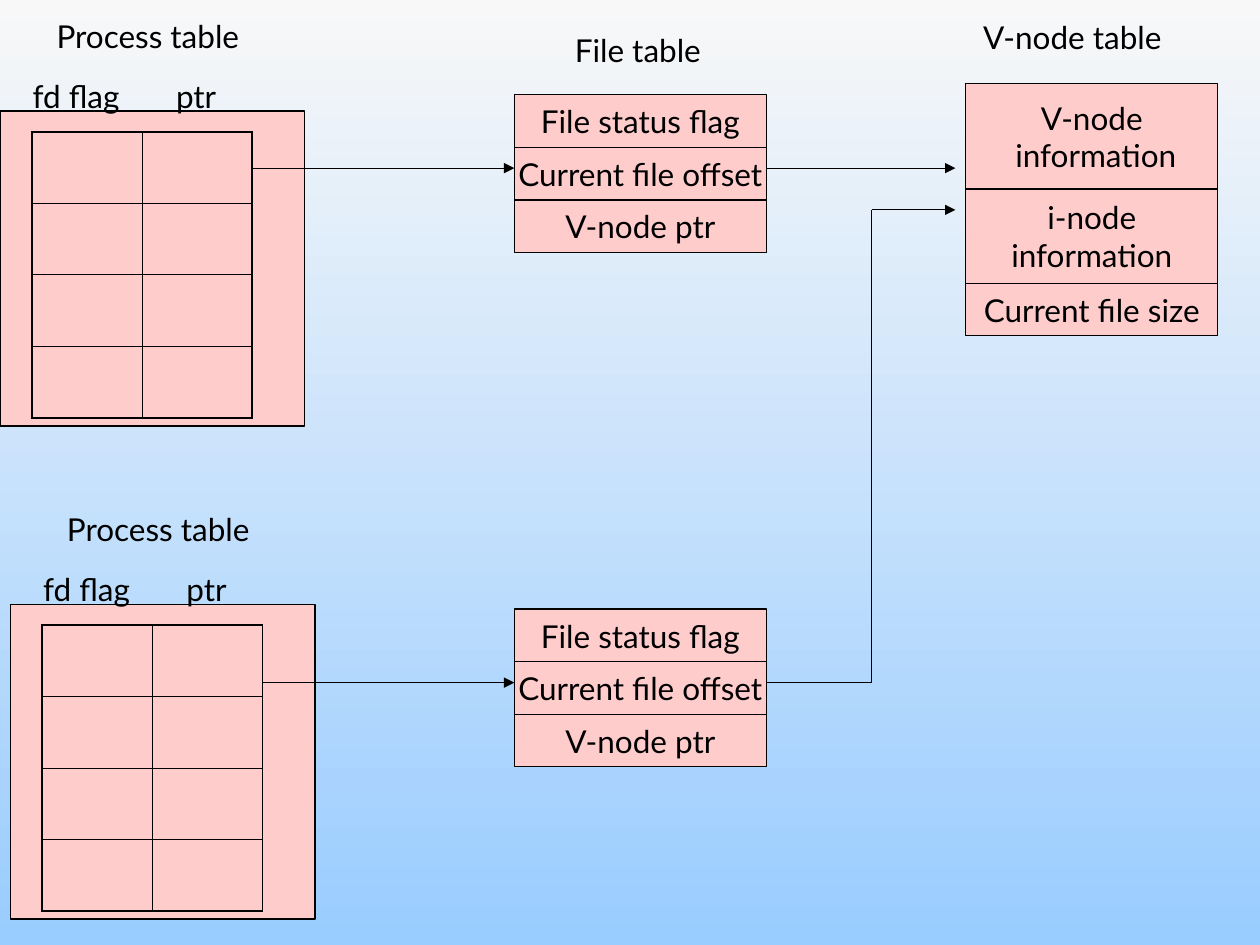
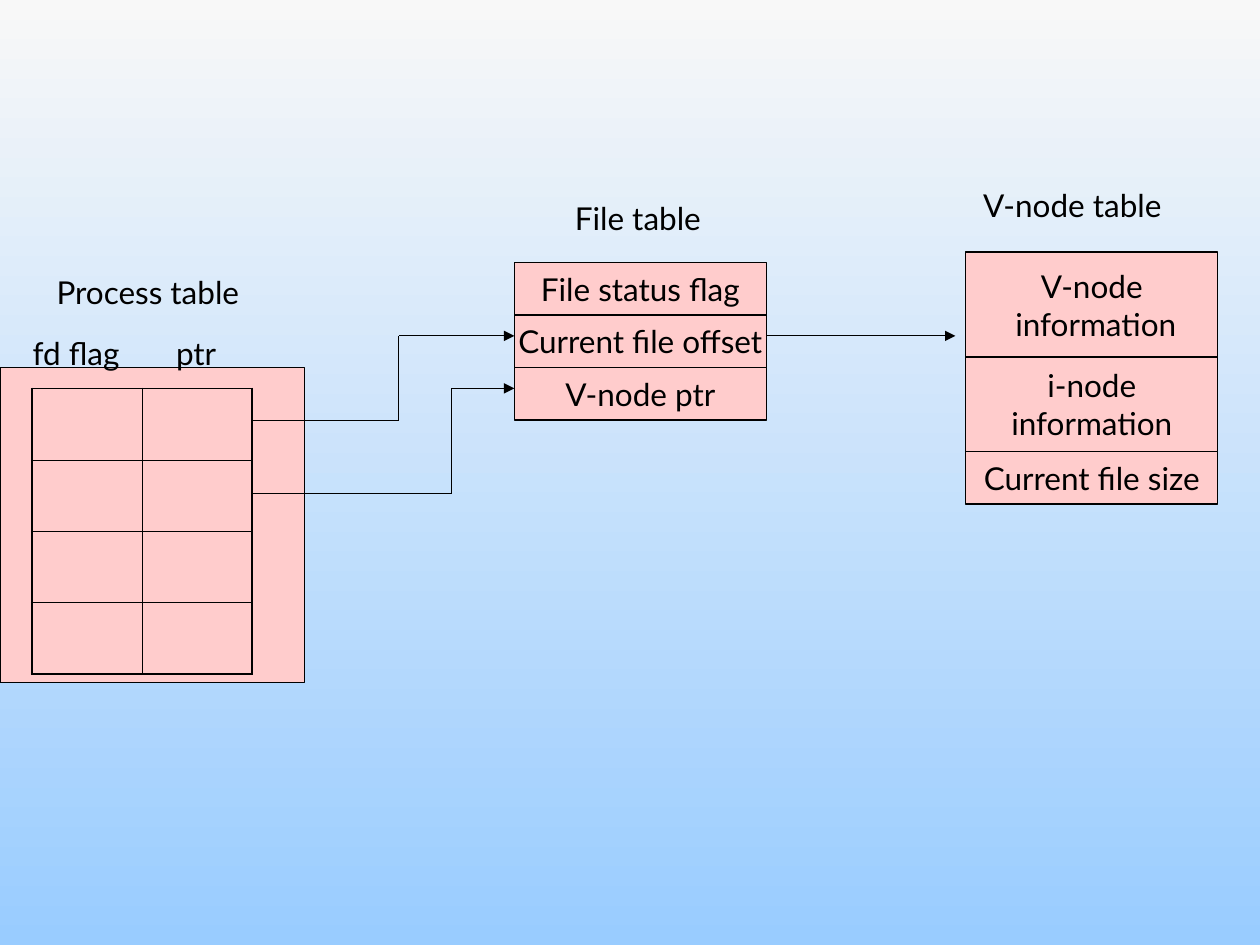
from itertools import pairwise

from pptx import Presentation
from pptx.dml.color import RGBColor
from pptx.enum.shapes import MSO_CONNECTOR, MSO_SHAPE
from pptx.enum.text import MSO_ANCHOR, MSO_AUTO_SIZE, PP_ALIGN
from pptx.oxml.ns import qn
from pptx.util import Cm, Pt
from lxml.etree import SubElement

COLORS = {"sky_top": "F8F8F8", "sky_bottom": "99CCFF", "box": "FFCCCC", "ink": "000000"}
FONT = "Lato"
TEXT_SIZE = Pt(18)
LINE_WIDTH = Pt(0.75)
GRID_OUTER, GRID_INNER = Pt(1.08), Pt(0.45)

LABEL_H = 1.02
FILE_X, VNODE_X = 10.37, 19.47
RECORD_W, ROW_H = 5.08, 1.06
FILE_RIGHT = FILE_X + RECORD_W
VNODE_ARROW_X = 19.26
FD_ROWS, FD_COLS = 4, 2
FD_ROW_H, FD_COL_W = 1.44, 2.22

FILE_FIELDS = [("File status flag", ROW_H), ("Current file offset", ROW_H), ("V-node ptr", ROW_H)]
VNODE_FIELDS = [("V-node\n information", 2.12), ("i-node\ninformation", 1.9), ("Current file size", ROW_H)]


def rgb(name):
    return RGBColor.from_string(COLORS[name])


class Diagram:
    def __init__(self):
        self.prs = Presentation()
        self.prs.slide_width, self.prs.slide_height = Cm(25.4), Cm(19.05)
        fill = self.prs.slide_master.background.fill
        fill.gradient()
        fill.gradient_angle = 270
        for stop, name in zip(fill.gradient_stops, ("sky_top", "sky_bottom")):
            stop.color.rgb = rgb(name)
        self.s = None

    def new_slide(self):
        self.s = self.prs.slides.add_slide(self.prs.slide_layouts[6])

    def set_text(self, tf, text, align):
        tf.text = text
        tf.word_wrap = False
        for p in tf.paragraphs:
            p.alignment = align
            for r in p.runs:
                r.font.name, r.font.size = FONT, TEXT_SIZE
                r.font.color.rgb = rgb("ink")

    def label(self, text, x, y, w):
        sp = self.s.shapes.add_textbox(Cm(x), Cm(y), Cm(w), Cm(LABEL_H))
        self.set_text(sp.text_frame, text, PP_ALIGN.LEFT)
        sp.text_frame.auto_size = MSO_AUTO_SIZE.SHAPE_TO_FIT_TEXT

    def box(self, x, y, w, h, text=""):
        sp = self.s.shapes.add_shape(MSO_SHAPE.RECTANGLE, Cm(x), Cm(y), Cm(w), Cm(h))
        sp.shadow.inherit = False
        sp.fill.solid()
        sp.fill.fore_color.rgb = rgb("box")
        sp.line.color.rgb = rgb("ink")
        sp.line.width = LINE_WIDTH
        if text:
            sp.text_frame.vertical_anchor = MSO_ANCHOR.MIDDLE
            self.set_text(sp.text_frame, text, PP_ALIGN.CENTER)

    def record(self, x, y, fields):
        for text, h in fields:
            self.box(x, y, RECORD_W, h, text)
            y += h

    def grid(self, x, y):
        frame = self.s.shapes.add_table(FD_ROWS, FD_COLS, Cm(x), Cm(y),
                                        Cm(FD_COLS * FD_COL_W), Cm(FD_ROWS * FD_ROW_H))
        table = frame.table
        table.first_row = table.horz_banding = False
        for col in table.columns:
            col.width = Cm(FD_COL_W)
        for i, row in enumerate(table.rows):
            row.height = Cm(FD_ROW_H)
            for j, cell in enumerate(row.cells):
                outer = {"lnL": j == 0, "lnR": j == FD_COLS - 1,
                         "lnT": i == 0, "lnB": i == FD_ROWS - 1}
                self.cell_borders(cell, outer)
                cell.fill.background()

    def cell_borders(self, cell, outer):
        tc_pr = cell._tc.get_or_add_tcPr()
        for side, is_outer in outer.items():
            width = GRID_OUTER if is_outer else GRID_INNER
            ln = SubElement(tc_pr, qn(f"a:{side}"), w=str(int(width)))
            fill = SubElement(ln, qn("a:solidFill"))
            SubElement(fill, qn("a:srgbClr"), val=COLORS["ink"])

    def line(self, start, end, arrow=False):
        cx = self.s.shapes.add_connector(MSO_CONNECTOR.STRAIGHT, *map(Cm, start + end))
        cx.line.color.rgb = rgb("ink")
        cx.line.width = LINE_WIDTH
        if arrow:
            SubElement(cx.line._get_or_add_ln(), qn("a:tailEnd"), type="triangle")
        SubElement(cx._element.spPr, qn("a:effectLst"))

    def route(self, *points):
        for start, end in pairwise(points):
            self.line(start, end, arrow=end == points[-1])

    def process_table(self, x, y):
        self.box(x, y, 6.14, 6.35)
        self.grid(x + 0.64, y + 0.42)
        self.label("Process table", x + 0.89, y - 2.03, 4.47)
        self.label("fd flag", x + 0.41, y - 0.81, 2.41)
        self.label("ptr", x + 3.3, y - 0.81, 1.37)

    def file_table(self, y, titled=True):
        if titled:
            self.label("File table", FILE_X + 0.97, y - 1.4, 3.18)
        self.record(FILE_X, y, FILE_FIELDS)

    def vnode_table(self, y):
        self.label("V-node table", VNODE_X + 0.1, y - 1.45, 4.27)
        self.record(VNODE_X, y, VNODE_FIELDS)


def two_processes(d):
    d.new_slide()
    d.process_table(0, 2.24)
    d.process_table(0.21, 12.18)
    d.file_table(1.91)
    d.file_table(12.28, titled=False)
    d.vnode_table(1.69)
    d.route((5.08, 3.39), (FILE_X, 3.39))
    d.route((5.29, 13.76), (FILE_X, 13.76))
    d.route((FILE_RIGHT, 3.39), (VNODE_ARROW_X, 3.39))
    d.route((FILE_RIGHT, 13.76), (17.57, 13.76), (17.57, 4.23), (VNODE_ARROW_X, 4.23))


def shared_file_entry(d):
    d.new_slide()
    d.process_table(0, 7.41)
    d.file_table(5.29)
    d.vnode_table(5.08)
    d.route((5.08, 8.47), (8.04, 8.47), (8.04, 6.77), (FILE_X, 6.77))
    d.route((5.08, 9.95), (9.1, 9.95), (9.1, 7.83), (FILE_X, 7.83))
    d.route((FILE_RIGHT, 6.77), (VNODE_ARROW_X, 6.77))


def main():
    d = Diagram()
    two_processes(d)
    shared_file_entry(d)
    d.prs.save("out.pptx")


if __name__ == "__main__":
    main()
